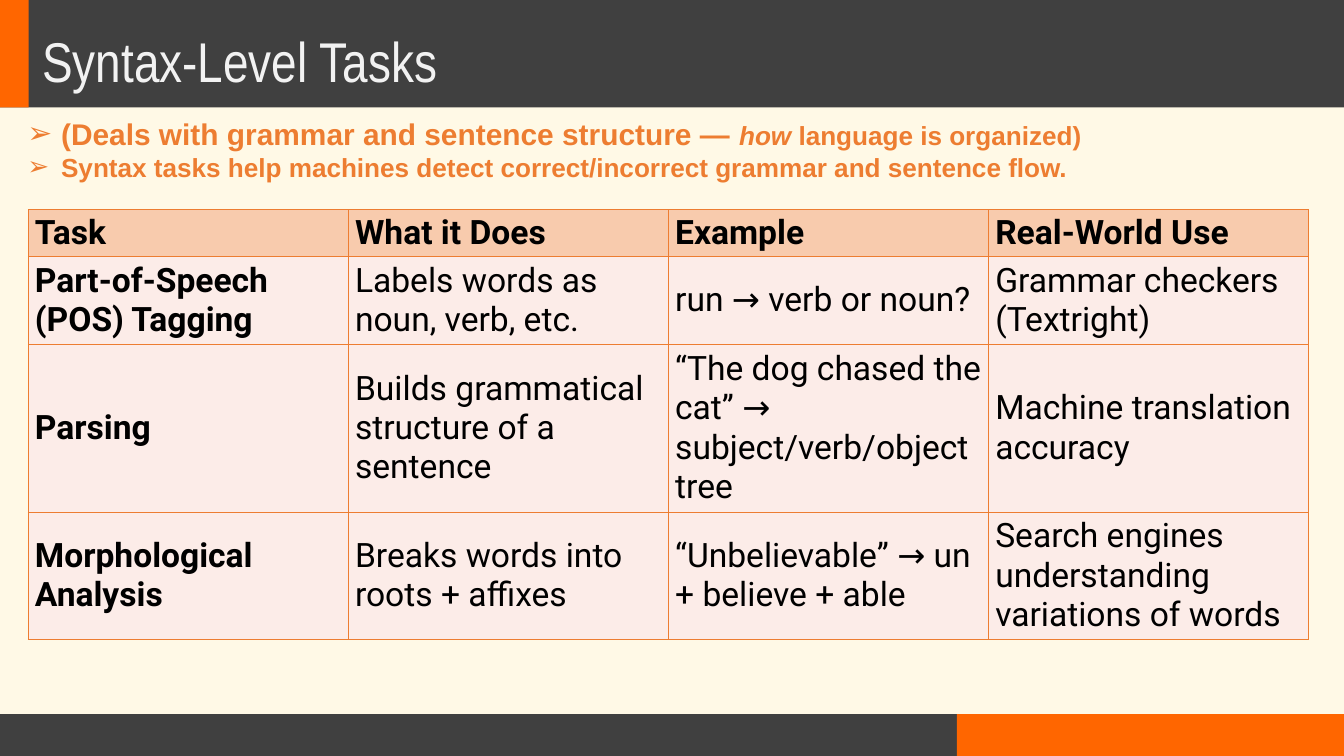
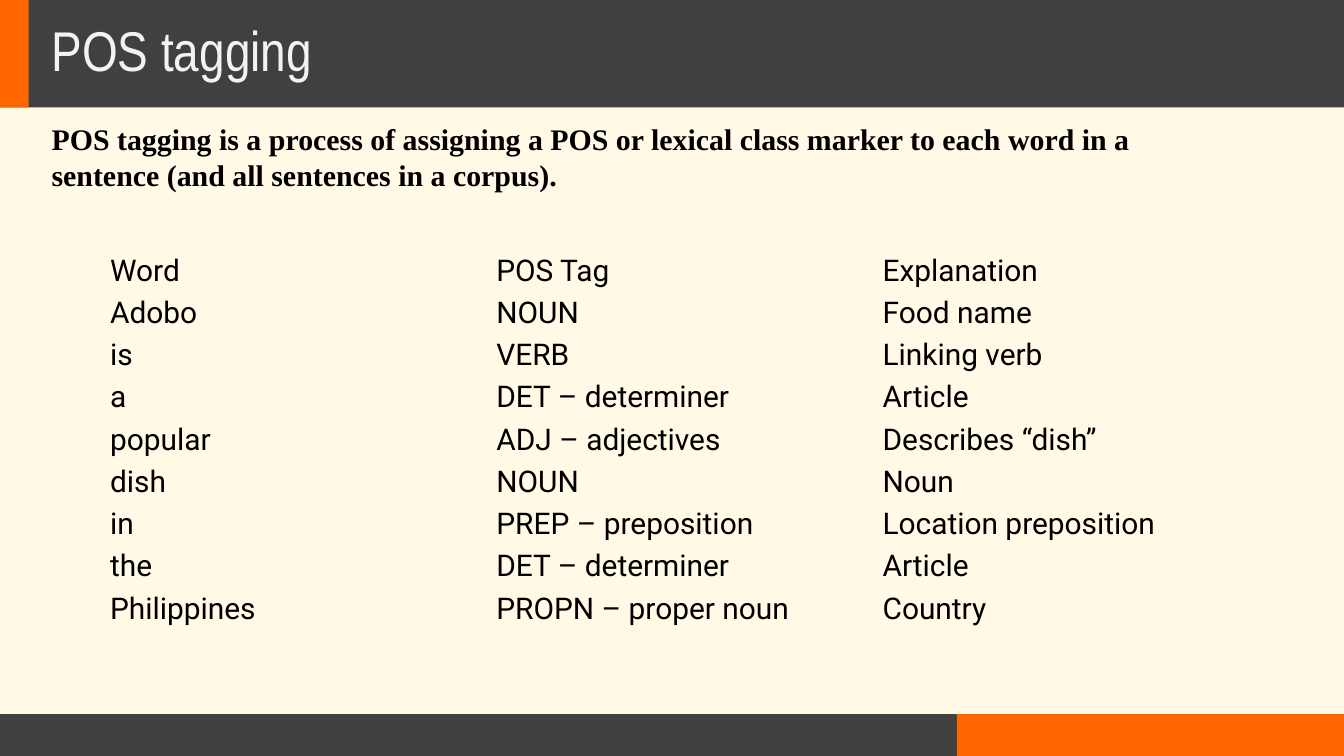
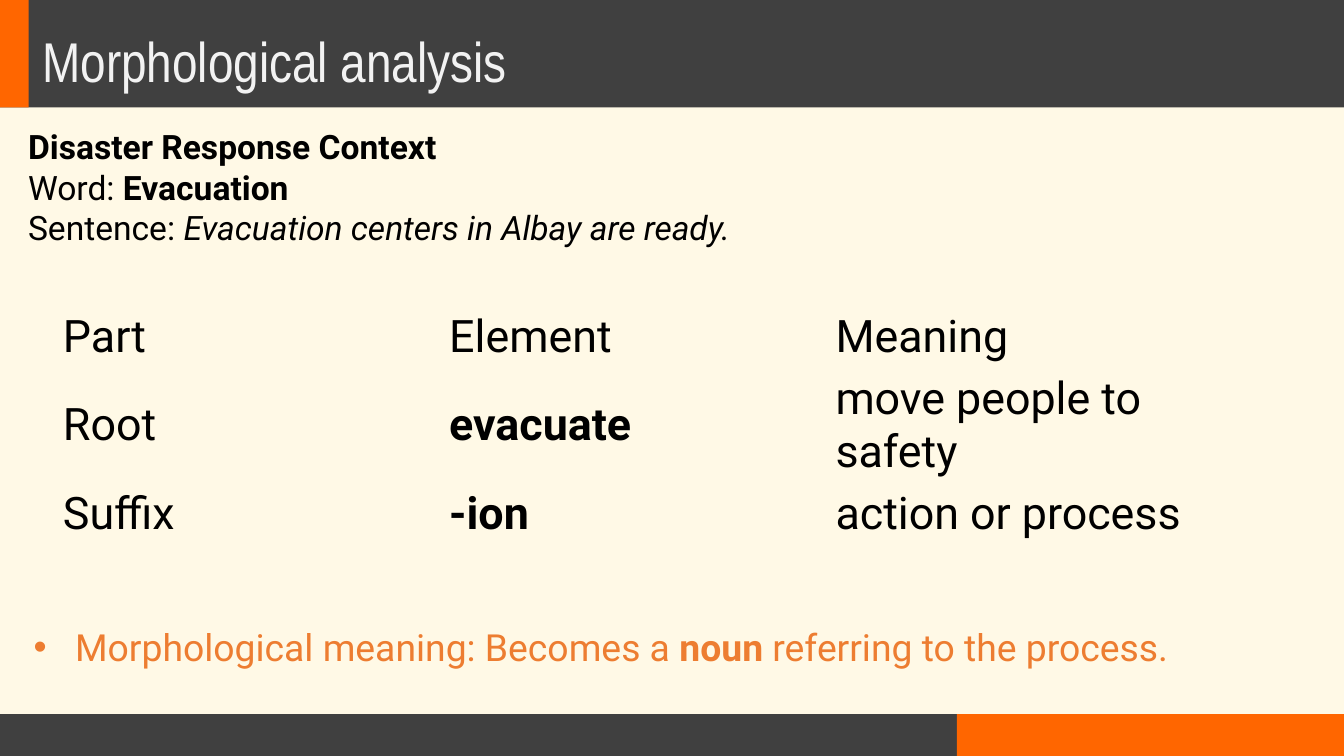
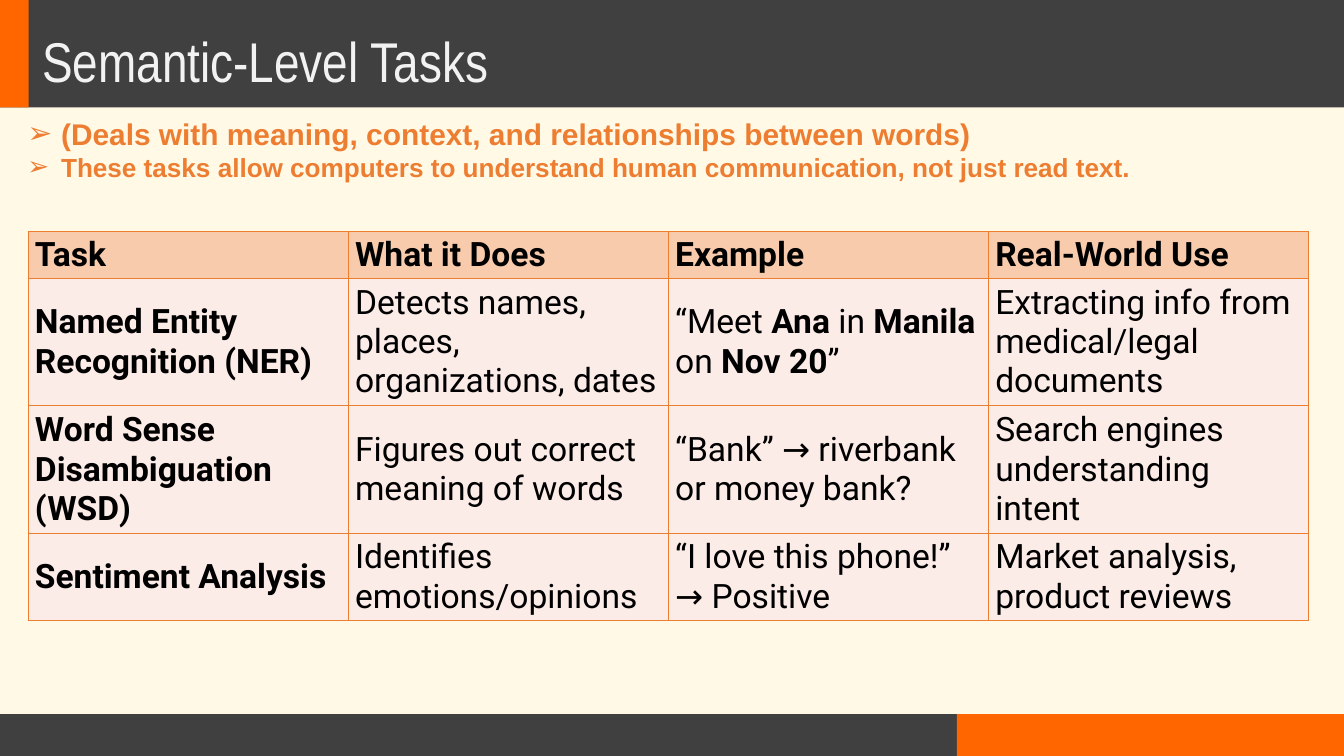
"""Build four slides on syntax-level and semantic-level language tasks."""
from dataclasses import dataclass

from lxml import etree
from pptx import Presentation
from pptx import util as u
from pptx.dml.color import RGBColor
from pptx.enum import shapes, text
from pptx.oxml import ns

CREAM = RGBColor(0xFF, 0xF9, 0xE6)
CHARCOAL = RGBColor(0x40, 0x40, 0x40)
ORANGE = RGBColor(0xFF, 0x66, 0x00)
AMBER = RGBColor(0xED, 0x7D, 0x31)
PEACH = RGBColor(0xF8, 0xCB, 0xAD)
BLUSH = RGBColor(0xFC, 0xEC, 0xE8)
OFF_WHITE = RGBColor(0xF2, 0xF2, 0xF2)
BLACK = RGBColor(0x00, 0x00, 0x00)

SLIDE_WIDTH, SLIDE_HEIGHT = 50.8, 28.58
HEADER_HEIGHT, FOOTER_TOP, FOOTER_SPLIT = 4.06, 27.0, 36.17
PLAIN_TABLE_STYLE = "{2D5ABB26-0587-4C30-8999-92F81FD0307C}"


@dataclass(frozen=True)
class Band:
    """A filled rectangle, in centimetres."""

    left: float
    top: float
    width: float
    height: float
    color: RGBColor


@dataclass(frozen=True)
class Run:
    """A stretch of text with one style."""

    text: str
    size: int
    bold: bool = False
    italic: bool = False


@dataclass(frozen=True)
class Block:
    """A text box whose paragraphs are tuples of runs."""

    left: float
    top: float
    width: float
    height: float
    paragraphs: tuple[tuple[Run, ...], ...]
    font: str
    color: RGBColor = BLACK
    bullet: str = ""
    indent: float = 0
    anchor: text.MSO_ANCHOR = text.MSO_ANCHOR.TOP
    grow: bool = False
    line_spacing: float = 1.0


@dataclass(frozen=True)
class Grid:
    """A table of equal columns; asterisks in its rows mark bold words."""

    left: float
    top: float
    column_width: float
    row_heights: tuple[float, ...]
    rows: tuple[tuple[str, ...], ...]
    size: int
    ruled: bool = False


BANDS = (
    Band(0, FOOTER_TOP, SLIDE_WIDTH, SLIDE_HEIGHT - FOOTER_TOP, CHARCOAL),
    Band(FOOTER_SPLIT, FOOTER_TOP, SLIDE_WIDTH - FOOTER_SPLIT,
         SLIDE_HEIGHT - FOOTER_TOP, ORANGE),
    Band(0, 0, SLIDE_WIDTH, HEADER_HEIGHT, CHARCOAL),
    Band(0, 0, 1.08, HEADER_HEIGHT, ORANGE),
)

TASK_HEADINGS = ("*Task*", "*What it Does*", "*Example*", "*Real-World Use*")


def title(words: str, left: float = 1.35, top: float = 1.17) -> Block:
    """Return the title that sits on the header band."""
    return Block(left, top, 48, 2.13, ((Run(words, 60),),), "Arial Narrow",
                 OFF_WHITE, line_spacing=0.9)


def summary(*paragraphs: tuple[Run, ...]) -> Block:
    """Return the arrow-bulleted summary under the header."""
    return Block(0.79, 4.22, 49.02, 2.82, paragraphs, "Arial", AMBER, "➢", 1.27,
                 text.MSO_ANCHOR.MIDDLE, True)


def task_grid(top: float, line_counts: tuple[int, ...],
              *tasks: tuple[str, ...]) -> Grid:
    """Return a ruled task table with rows sized by their lines of text."""
    heights = tuple(0.25 + 1.525 * count for count in line_counts)
    return Grid(1.07, top, 12.1, heights, (TASK_HEADINGS, *tasks), 36, True)


def marked_runs(words: str, size: int) -> tuple[Run, ...]:
    """Split words at asterisks into alternating plain and bold runs."""
    return tuple(Run(piece, size, bold=index % 2 == 1)
                 for index, piece in enumerate(words.split("*")) if piece)


def write_runs(paragraph, runs: tuple[Run, ...], font: str,
               color: RGBColor) -> None:
    """Add runs to a paragraph, turning newlines into line breaks."""
    for item in runs:
        for index, line in enumerate(item.text.split("\n")):
            if index:
                paragraph.add_line_break()
            if line:
                run = paragraph.add_run()
                run.text = line
                run.font.name = font
                run.font.size = u.Pt(item.size)
                run.font.bold = item.bold
                run.font.italic = item.italic
                run.font.color.rgb = color


def add_bullet(paragraph, character: str, indent: float) -> None:
    """Give a paragraph a hanging bullet."""
    properties = paragraph._p.get_or_add_pPr()
    properties.set("marL", str(u.Cm(indent)))
    properties.set("indent", str(-u.Cm(indent)))
    etree.SubElement(properties, ns.qn("a:buFont"), typeface="Arial")
    etree.SubElement(properties, ns.qn("a:buChar"), char=character)


def add_band(slide, band: Band) -> None:
    """Draw one band."""
    shape = slide.shapes.add_shape(
        shapes.MSO_SHAPE.RECTANGLE, u.Cm(band.left), u.Cm(band.top),
        u.Cm(band.width), u.Cm(band.height))
    shape.shadow.inherit = False
    shape.fill.solid()
    shape.fill.fore_color.rgb = band.color
    shape.line.fill.background()


def add_block(slide, block: Block) -> None:
    """Draw one text box."""
    shape = slide.shapes.add_textbox(
        u.Cm(block.left), u.Cm(block.top), u.Cm(block.width), u.Cm(block.height))
    frame = shape.text_frame
    frame.word_wrap = True
    frame.vertical_anchor = block.anchor
    if block.grow:
        frame.auto_size = text.MSO_AUTO_SIZE.SHAPE_TO_FIT_TEXT
    for index, runs in enumerate(block.paragraphs):
        paragraph = frame.add_paragraph() if index else frame.paragraphs[0]
        paragraph.line_spacing = block.line_spacing
        if block.bullet:
            add_bullet(paragraph, block.bullet, block.indent)
        write_runs(paragraph, runs, block.font, block.color)


def rule_cell(cell) -> None:
    """Draw a thin line on all four sides of a cell."""
    properties = cell._tc.get_or_add_tcPr()
    for side in ("lnL", "lnR", "lnT", "lnB"):
        line = etree.SubElement(properties, ns.qn(f"a:{side}"), w=str(u.Pt(1)))
        fill = etree.SubElement(line, ns.qn("a:solidFill"))
        etree.SubElement(fill, ns.qn("a:srgbClr"), val=str(AMBER))


def add_grid(slide, grid: Grid) -> None:
    """Draw one table."""
    columns = len(grid.rows[0])
    table = slide.shapes.add_table(
        len(grid.rows), columns, u.Cm(grid.left), u.Cm(grid.top),
        u.Cm(grid.column_width * columns), u.Cm(sum(grid.row_heights))).table
    table.first_row = table.horz_banding = False
    table._tbl.tblPr.find(ns.qn("a:tableStyleId")).text = PLAIN_TABLE_STYLE
    for column in table.columns:
        column.width = u.Cm(grid.column_width)
    for row_index, (height, row) in enumerate(zip(grid.row_heights, grid.rows)):
        table.rows[row_index].height = u.Cm(height)
        for column_index, words in enumerate(row):
            cell = table.cell(row_index, column_index)
            cell.vertical_anchor = text.MSO_ANCHOR.MIDDLE
            cell.margin_left = cell.margin_right = u.Cm(0.25)
            cell.margin_top = cell.margin_bottom = u.Cm(0.12)
            if grid.ruled:
                rule_cell(cell)
                cell.fill.solid()
                cell.fill.fore_color.rgb = BLUSH if row_index else PEACH
            else:
                cell.fill.background()
            write_runs(cell.text_frame.paragraphs[0],
                       marked_runs(words, grid.size), "Roboto", BLACK)


SYNTAX_TASKS = (
    task_grid(
        7.93, (1, 2, 4, 3),
        ("*Part-of-Speech (POS) Tagging*", "Labels words as noun, verb, etc.",
         "run → verb or noun?", "Grammar checkers (Textright)"),
        ("*Parsing*", "Builds grammatical structure of a sentence",
         "“The dog chased the cat” → subject/verb/object tree",
         "Machine translation accuracy"),
        ("*Morphological Analysis*", "Breaks words into roots + affixes",
         "“Unbelievable” → un + believe + able",
         "Search engines understanding variations of words")),
    summary(
        (Run("(Deals with grammar and sentence structure — ", 32, True),
         Run("how", 28, True, True),
         Run(" language is organized)", 28, True)),
        (Run("Syntax tasks help machines detect correct/incorrect grammar "
             "and sentence flow.", 28, True),)),
    title("Syntax-Level Tasks"),
)

POS_TAGGING = (
    Block(1.7, 4.45, 43.82, 3.4,
          ((Run("POS tagging is a process of assigning a POS or lexical class "
                "marker to each word in a sentence (and all sentences in a "
                "corpus).", 32, True),),),
          "Times New Roman"),
    title("POS tagging", 1.7, 0.76),
    Grid(3.91, 9.45, 14.6, (1.58,) * 9, (
        ("Word", "POS Tag", "Explanation"),
        ("Adobo", "NOUN", "Food name"),
        ("is", "VERB", "Linking verb"),
        ("a", "DET – determiner", "Article"),
        ("popular", "ADJ – adjectives", "Describes “dish”"),
        ("dish", "NOUN", "Noun"),
        ("in", "PREP – preposition", "Location preposition"),
        ("the", "DET – determiner", "Article"),
        ("Philippines", "PROPN – proper noun", "Country"),
    ), 32),
)

MORPHOLOGICAL_ANALYSIS = (
    title("Morphological analysis"),
    Block(0.81, 4.65, 34.54, 4.88,
          ((Run("Disaster Response Context", 36, True),),
           (Run("Word: ", 36), Run("Evacuation\n", 36, True),
            Run("Sentence: ", 36),
            Run("Evacuation centers in Albay are ready.", 36, italic=True))),
          "Roboto", grow=True),
    Block(1.02, 23.47, 46.05, 1.96,
          (marked_runs("Morphological meaning: Becomes a *noun* referring to "
                       "the process.", 40),),
          "Roboto", AMBER, "•", 1.57, grow=True),
    Grid(2.13, 11.61, 14.6, (2.24, 4.41, 2.24), (
        ("Part", "Element", "Meaning"),
        ("Root", "*evacuate*", "move people to safety"),
        ("Suffix", "*-ion*", "action or process"),
    ), 48),
)

SEMANTIC_TASKS = (
    task_grid(
        8.74, (1, 3, 3, 2),
        ("*Named Entity Recognition (NER)*",
         "Detects names, places, organizations, dates",
         "“Meet *Ana* in *Manila* on *Nov 20*”",
         "Extracting info from medical/legal documents"),
        ("*Word Sense Disambiguation (WSD)*",
         "Figures out correct meaning of words",
         "“Bank” → riverbank or money bank?",
         "Search engines understanding intent"),
        ("*Sentiment Analysis*", "Identifies emotions/opinions",
         "“I love this phone!” → Positive", "Market analysis, product reviews")),
    summary(
        (Run("(Deals with meaning, context, and relationships between words)",
             32, True),),
        (Run("These tasks allow computers to understand human communication, "
             "not just read text.", 28, True),)),
    title("Semantic-Level Tasks"),
)


def add_slide(presentation, items: tuple[Block | Grid, ...]) -> None:
    """Add a slide with the shared bands and its own items."""
    slide = presentation.slides.add_slide(presentation.slide_layouts[6])
    slide.background.fill.solid()
    slide.background.fill.fore_color.rgb = CREAM
    for band in BANDS:
        add_band(slide, band)
    for item in items:
        if isinstance(item, Grid):
            add_grid(slide, item)
        else:
            add_block(slide, item)


def main() -> None:
    """Build and save the presentation."""
    presentation = Presentation()
    presentation.slide_width = u.Cm(SLIDE_WIDTH)
    presentation.slide_height = u.Cm(SLIDE_HEIGHT)
    for items in (SYNTAX_TASKS, POS_TAGGING, MORPHOLOGICAL_ANALYSIS,
                  SEMANTIC_TASKS):
        add_slide(presentation, items)
    presentation.save("out.pptx")


if __name__ == "__main__":
    main()
